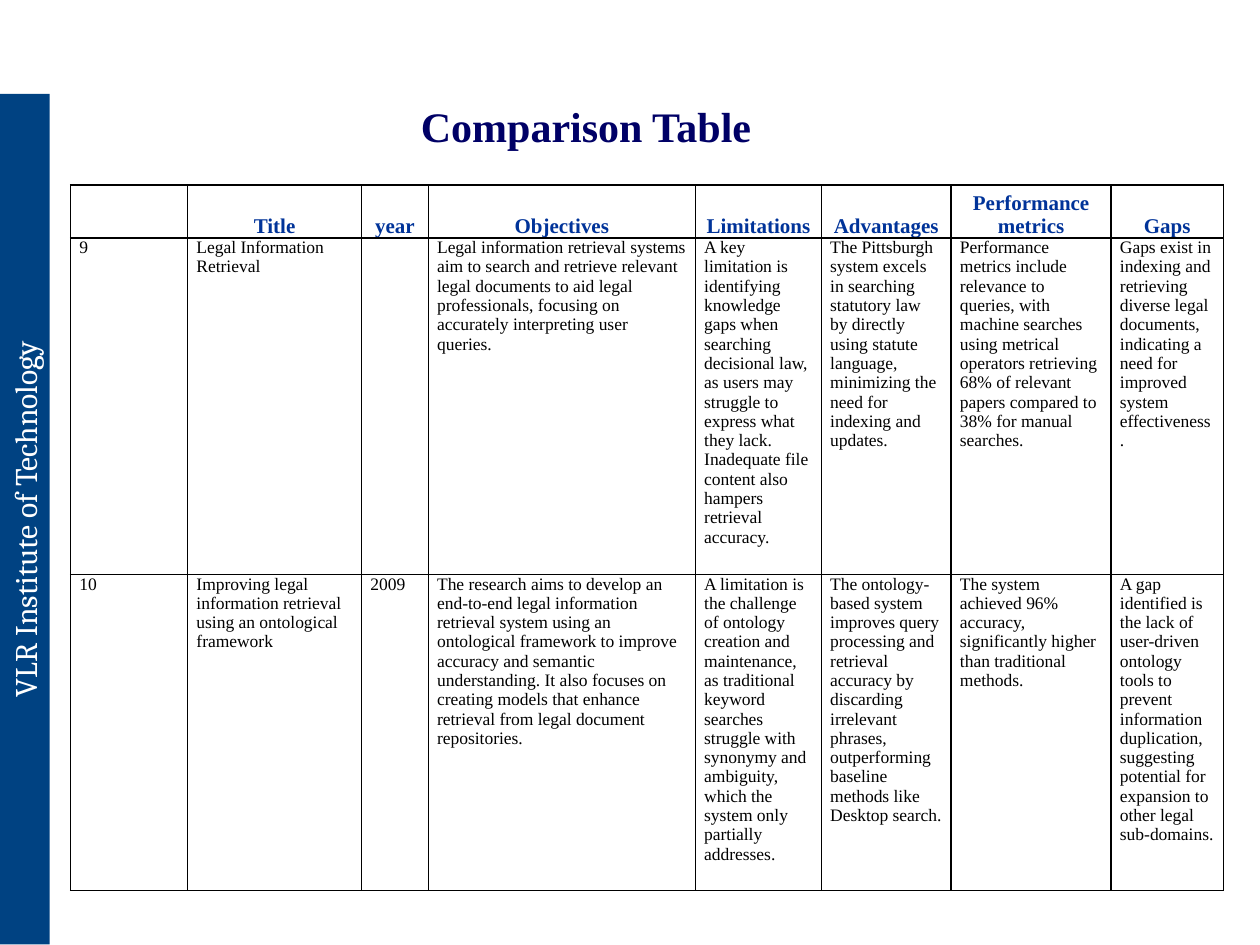
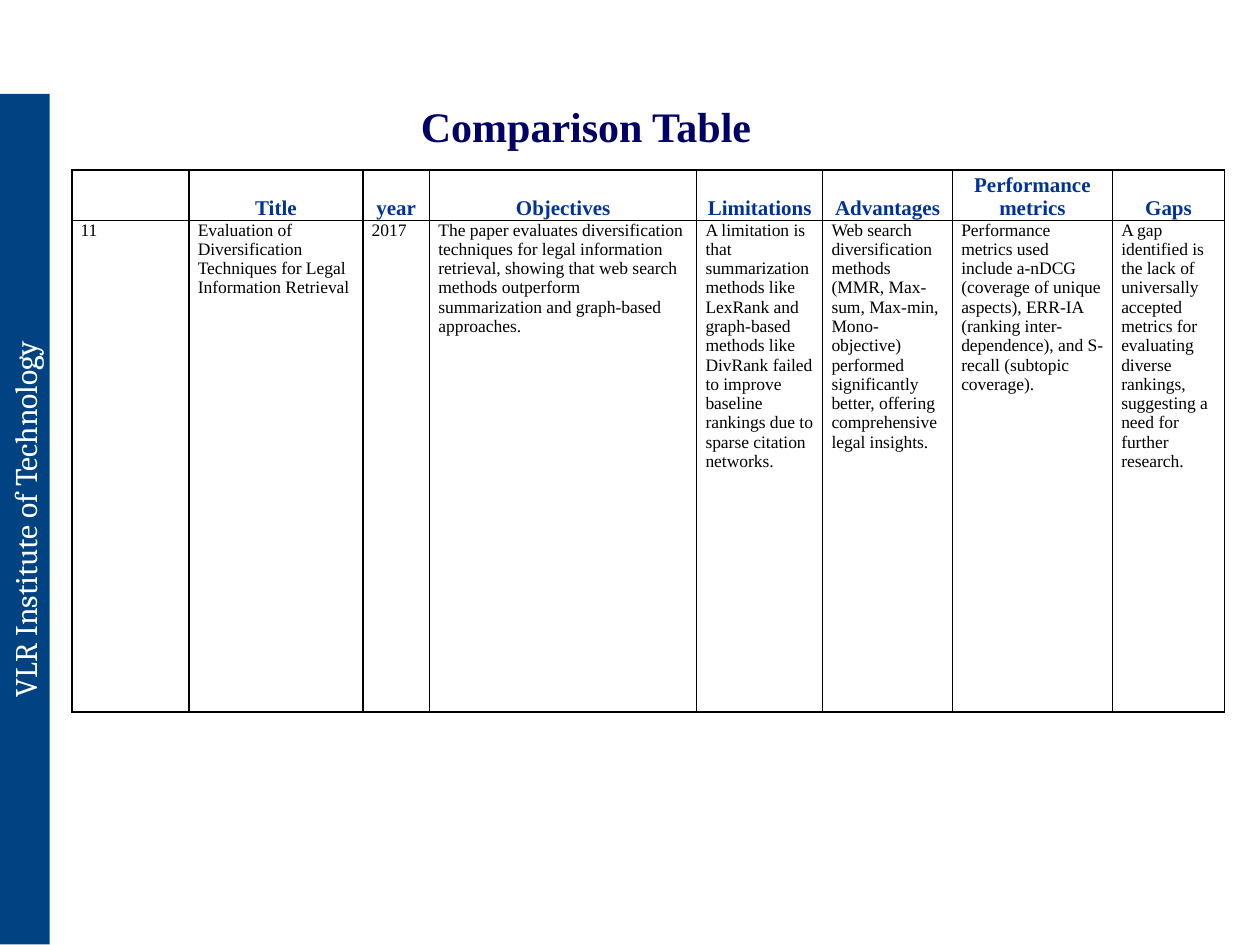
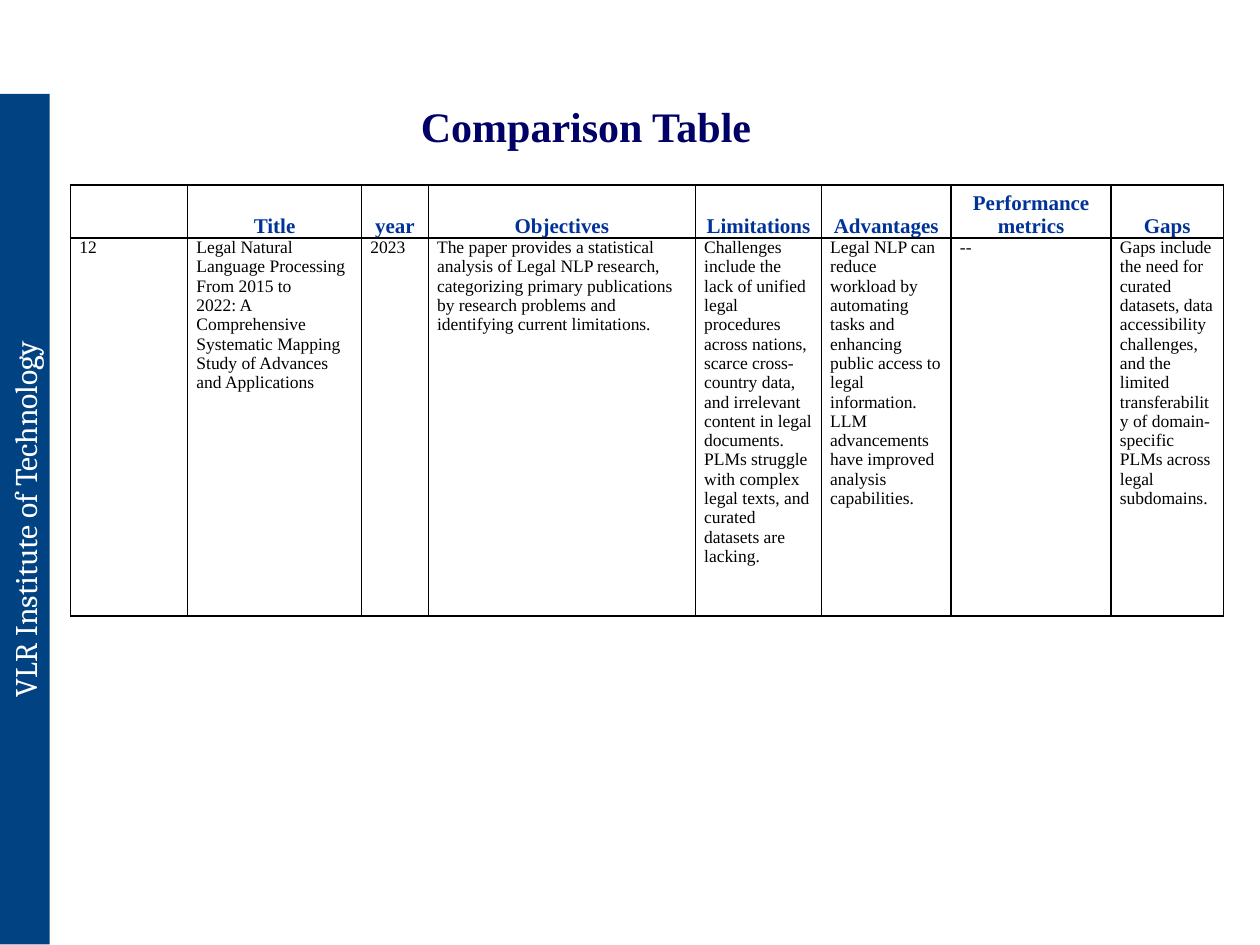
from lxml import etree
from pptx import Presentation
from pptx.dml.color import RGBColor
from pptx.enum import shapes, text
from pptx.oxml import ns
from pptx.util import Inches, Pt

COLORS = {"band": "004282", "band_text": "FFFFFF", "title": "000066",
          "header": "003399", "body": "000000", "border": "000000"}
SERIF = "Times New Roman"
INSTITUTE = "VLR Institute of Technology"
TITLE = "Comparison Table"

HEADERS = ["", "Title", "year", "Objectives", "Limitations", "Advantages",
           "Performance metrics", "Gaps"]
COLUMN_WIDTHS = [0.93, 1.38, 0.53, 2.12, 1, 1.03, 1.27, 0.89]

# Each slide: table corner, row heights (header first) and the papers compared
COMPARISONS = [
    {"corner": (0.56, 1.47), "heights": [0.42, 2.67, 2.51], "papers": [
        ["9", "Legal Information Retrieval", "",
         "Legal information retrieval systems aim to search and retrieve relevant legal "
         "documents to aid legal professionals, focusing on accurately interpreting user queries.",
         "A key limitation is identifying knowledge gaps when searching decisional law, as users "
         "may struggle to express what they lack. Inadequate file content also hampers retrieval "
         "accuracy.",
         "The Pittsburgh system excels in searching statutory law by directly using statute "
         "language, minimizing the need for indexing and updates.",
         "Performance metrics include relevance to queries, with machine searches using metrical "
         "operators retrieving 68% of relevant papers compared to 38% for manual searches.",
         "Gaps exist in indexing and retrieving diverse legal documents, indicating a need for "
         "improved system effectiveness."],
        ["10", "Improving legal information retrieval\nusing an ontological framework", "2009",
         "The research aims to develop an end-to-end legal information retrieval system using an "
         "ontological framework to improve accuracy and semantic understanding. It also focuses "
         "on creating models that enhance retrieval from legal document repositories.",
         "A limitation is the challenge of ontology creation and maintenance, as traditional "
         "keyword searches struggle with synonymy and ambiguity, which the system only partially "
         "addresses.",
         "The ontology-based system improves query processing and retrieval accuracy by "
         "discarding irrelevant phrases, outperforming baseline methods like Desktop search.",
         "The system achieved 96% accuracy, significantly higher than traditional methods.",
         "A gap identified is the lack of user-driven ontology tools to prevent information "
         "duplication, suggesting potential for expansion to other legal sub-domains."],
    ]},
    {"corner": (0.57, 1.35), "heights": [0.4, 3.9], "papers": [
        ["11", "Evaluation of Diversification Techniques for Legal\nInformation Retrieval", "2017",
         "The paper evaluates diversification techniques for legal information retrieval, showing "
         "that web search methods outperform summarization and graph-based approaches.",
         "A limitation is that summarization methods like LexRank and graph-based methods like "
         "DivRank failed to improve baseline rankings due to sparse citation networks.",
         "Web search diversification methods (MMR, Max-sum, Max-min, Mono-objective) performed "
         "significantly better, offering comprehensive legal insights.",
         "Performance metrics used include a-nDCG (coverage of unique aspects), ERR-IA (ranking "
         "inter-dependence), and S-recall (subtopic coverage).",
         "A gap identified is the lack of universally accepted metrics for evaluating diverse "
         "rankings, suggesting a need for further research."],
    ]},
    {"corner": (0.56, 1.47), "heights": [0.42, 3], "papers": [
        ["12", "Legal Natural Language Processing From 2015 to\n2022: A Comprehensive Systematic "
         "Mapping\nStudy of Advances and Applications", "2023",
         "The paper provides a statistical analysis of Legal NLP research, categorizing primary "
         "publications by research problems and identifying current limitations.",
         "Challenges include the lack of unified legal procedures across nations, scarce "
         "cross-country data, and irrelevant content in legal documents. PLMs struggle with "
         "complex legal texts, and curated datasets are lacking.",
         "Legal NLP can reduce workload by automating tasks and enhancing public access to legal "
         "information. LLM advancements have improved analysis capabilities.",
         "--",
         "Gaps include the need for curated datasets, data accessibility challenges, and the "
         "limited transferability of domain-specific PLMs across legal subdomains."],
    ]},
]


def write(frame, words, size, color, font=SERIF, bold=False, align=text.PP_ALIGN.LEFT):
    paragraph = frame.paragraphs[0]
    paragraph.text = words
    paragraph.alignment = align
    for run in paragraph.runs:
        run.font.name, run.font.size, run.font.bold = font, Pt(size), bold
        run.font.color.rgb = RGBColor.from_string(COLORS[color])


def add_band(slide, layout):
    """Draw the side band and hand it to the layout, so every slide shows it."""
    band = slide.shapes.add_shape(shapes.MSO_SHAPE.RECTANGLE, Inches(-3.18), Inches(3.92),
                                  Inches(6.75), Inches(0.4))
    band.rotation = 270
    band.shadow.inherit = False
    band.fill.solid()
    band.fill.fore_color.rgb = RGBColor.from_string(COLORS["band"])
    band.line.fill.background()
    band.text_frame.vertical_anchor = text.MSO_ANCHOR.TOP
    write(band.text_frame, INSTITUTE, 18, "band_text", "Cambria", align=text.PP_ALIGN.CENTER)
    layout.shapes.element.append(band.element)


def add_title(slide):
    title = slide.shapes.title
    title.left, title.top, title.width, title.height = map(Inches, (3.24, 0.75, 2.88, 0.5))
    title.text_frame.vertical_anchor = text.MSO_ANCHOR.TOP
    title.text_frame.auto_size = text.MSO_AUTO_SIZE.NONE
    write(title.text_frame, TITLE, 24, "title", bold=True)


def add_borders(cell):
    properties = cell._tc.get_or_add_tcPr()
    for position, side in enumerate(("lnL", "lnR", "lnT", "lnB")):
        line = etree.Element(ns.qn(f"a:{side}"), w=str(Pt(1)))
        fill = etree.SubElement(line, ns.qn("a:solidFill"))
        etree.SubElement(fill, ns.qn("a:srgbClr"), val=COLORS["border"])
        properties.insert(position, line)


def fill_cell(cell, words, is_header):
    cell.fill.background()
    side = Inches(0.01 if is_header else 0.07)
    cell.margin_left = cell.margin_right = side
    cell.margin_top = Inches(0.01 if is_header else 0)
    cell.margin_bottom = 0
    if is_header:
        cell.vertical_anchor = text.MSO_ANCHOR.BOTTOM
        write(cell.text_frame, words, 12, "header", bold=True, align=text.PP_ALIGN.CENTER)
    else:
        cell.vertical_anchor = text.MSO_ANCHOR.TOP
        write(cell.text_frame, words, 10, "body")
    add_borders(cell)


def add_comparison(slide, corner, heights, papers):
    rows = [HEADERS] + papers
    left, top = corner
    table = slide.shapes.add_table(len(rows), len(HEADERS), Inches(left), Inches(top),
                                   Inches(sum(COLUMN_WIDTHS)), Inches(sum(heights))).table
    table.first_row = table.horz_banding = False
    for column, width in zip(table.columns, COLUMN_WIDTHS):
        column.width = Inches(width)
    for r, (row, height) in enumerate(zip(rows, heights)):
        table.rows[r].height = Inches(height)
        for c, words in enumerate(row):
            fill_cell(table.cell(r, c), words, is_header=r == 0)


def main():
    deck = Presentation()
    deck.slide_width, deck.slide_height = Inches(10), Inches(7.5)
    layout = deck.slide_layouts[5]  # Title Only
    for number, comparison in enumerate(COMPARISONS):
        slide = deck.slides.add_slide(layout)
        if number == 0:
            add_band(slide, layout)
        add_title(slide)
        add_comparison(slide, **comparison)
    deck.save("out.pptx")


if __name__ == "__main__":
    main()
